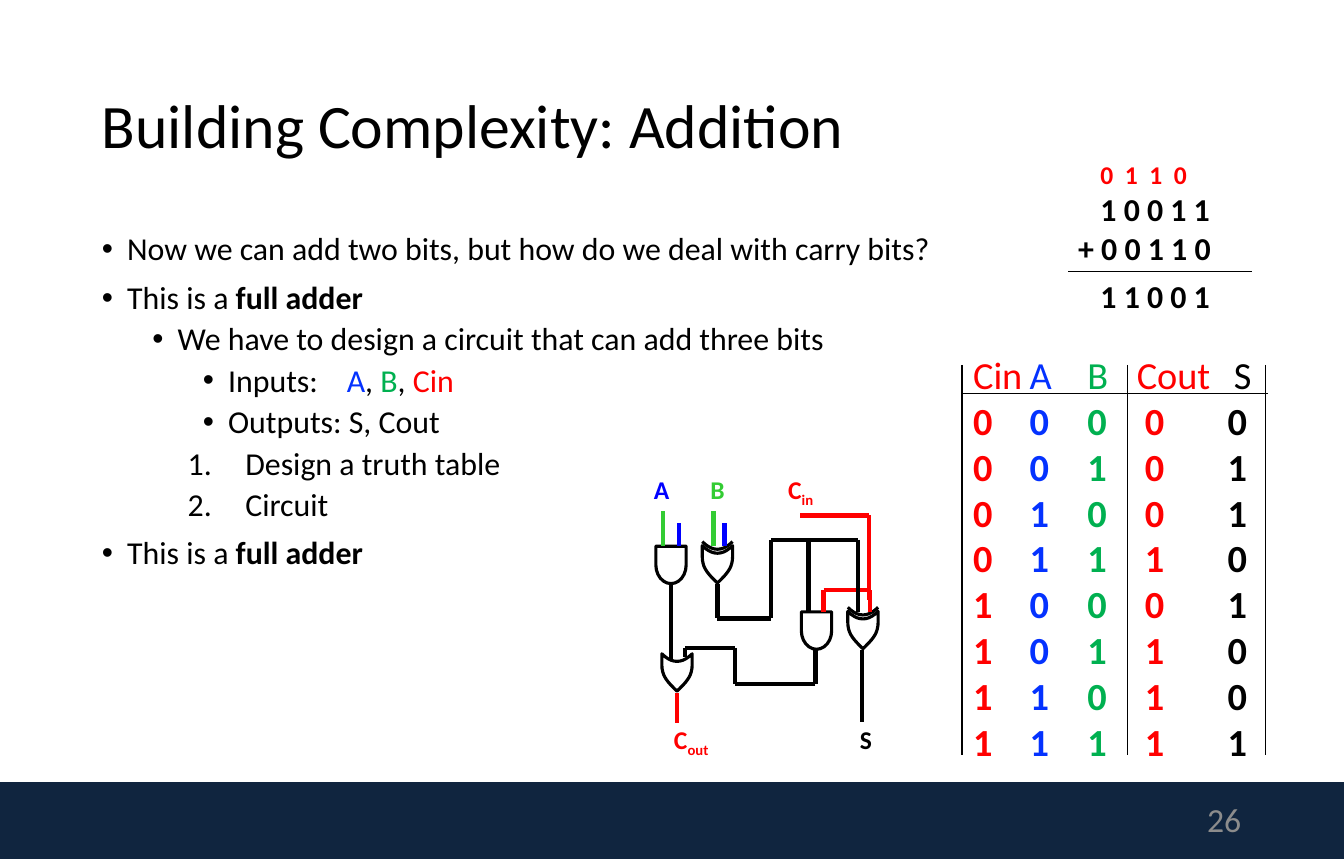
from itertools import pairwise, product

from lxml import etree
from pptx import Presentation
from pptx.dml.color import RGBColor
from pptx.enum.shapes import MSO_CONNECTOR, MSO_SHAPE
from pptx.enum.text import MSO_ANCHOR, PP_ALIGN
from pptx.oxml.ns import qn
from pptx.util import Inches, Pt

STRAIGHT = MSO_CONNECTOR.STRAIGHT
RECTANGLE, DELAY = MSO_SHAPE.RECTANGLE, MSO_SHAPE.FLOWCHART_DELAY
TOP, MIDDLE = MSO_ANCHOR.TOP, MSO_ANCHOR.MIDDLE
LEFT, RIGHT = PP_ALIGN.LEFT, PP_ALIGN.RIGHT

BLACK = RGBColor(0x00, 0x00, 0x00)
RED = RGBColor(0xFF, 0x00, 0x00)
BLUE = RGBColor(0x04, 0x32, 0xFF)
GREEN = RGBColor(0x00, 0xB0, 0x50)
WIRE_BLUE = RGBColor(0x00, 0x00, 0xFF)
WIRE_GREEN = RGBColor(0x33, 0xCC, 0x33)
NAVY = RGBColor(0x10, 0x25, 0x3F)
GREY = RGBColor(0x8C, 0x8C, 0x8C)
WIDTH, HEIGHT = 13.3, 8.5
PLAIN_TABLE = "{2D5ABB26-0587-4C30-8999-92F81FD0307C}"


def add_run(paragraph, text, size, color=BLACK, bold=False, **attributes):
    run = paragraph.add_run()
    run.text = text
    run.font.name = "Calibri"
    run.font.size = Pt(size)
    run.font.bold = bold
    run.font.color.rgb = color
    for key, value in attributes.items():
        run.font._element.set(key, str(value))


def add_frame(slide, box, anchor=TOP, inset=(0.1, 0.05)):
    frame = slide.shapes.add_textbox(*map(Inches, box)).text_frame
    frame.word_wrap = True
    frame.vertical_anchor = anchor
    frame.margin_left = frame.margin_right = Inches(inset[0])
    frame.margin_top = frame.margin_bottom = Inches(inset[1])
    return frame


def add_label(slide, box, text, size, color, subscript="", **attributes):
    paragraph = add_frame(slide, box, inset=(0, 0)).paragraphs[0]
    paragraph.alignment = LEFT
    add_run(paragraph, text, size, color, True, **attributes)
    if subscript:
        add_run(paragraph, subscript, size, color, True, baseline=-25000)


def add_line(slide, start, end, color=BLACK, weight=0.75):
    line = slide.shapes.add_connector(STRAIGHT, *map(Inches, (*start, *end)))
    line.line.color.rgb = color
    line.line.width = Pt(weight)
    etree.SubElement(line._element.spPr, qn("a:effectLst"))


def footer(slide, box):
    left, top, width, height = box
    bar = slide.shapes.add_shape(RECTANGLE, *map(Inches, box))
    bar.shadow.inherit = False
    bar.fill.solid()
    bar.fill.fore_color.rgb = NAVY
    bar.line.fill.background()
    number_box = (left + width - 3.91, top + 0.14, 2.99, 0.45)
    paragraph = add_frame(slide, number_box, MIDDLE).paragraphs[0]
    paragraph.alignment = RIGHT
    add_run(paragraph, "26", 24, GREY)


def title(slide, box):
    paragraph = add_frame(slide, box, MIDDLE).paragraphs[0]
    paragraph.line_spacing = 0.9
    add_run(paragraph, "Building Complexity: Addition", 44)


def outline(slide, box):
    full_adder = [("This is a ",), ("full adder", BLACK, True)]
    inputs = [("Inputs:",), (" ", BLACK, False, 1540), ("A", BLUE), (", ",),
              ("B", GREEN), (", ",), ("Cin", RED)]
    items = [
        (0, False, [("Now we can add two bits, but how do we deal with carry bits?",)]),
        (0, False, full_adder),
        (1, False, [("We have to design a circuit that can add three bits",)]),
        (2, False, inputs),
        (2, False, [("Outputs: S, Cout",)]),
        (1, True, [("Design a truth table",)]),
        (1, True, [("Circuit",)]),
        (0, False, full_adder),
    ]
    frame = add_frame(slide, box)
    for index, (level, numbered, runs) in enumerate(items):
        paragraph = frame.add_paragraph() if index else frame.paragraphs[0]
        paragraph.level = level
        paragraph.line_spacing = 0.9
        paragraph.space_before = Pt(5 if level else 10)
        indent, hanging = (1.42, 0.57) if numbered else (0.25 + level * 0.5, 0.25)
        properties = paragraph._p.get_or_add_pPr()
        properties.set("marL", str(Inches(indent)))
        properties.set("indent", str(-Inches(hanging)))
        if numbered:
            etree.SubElement(properties, qn("a:buAutoNum"), type="arabicPeriod")
        else:
            etree.SubElement(properties, qn("a:buFont"), typeface="Arial")
            etree.SubElement(properties, qn("a:buChar"), char="•")
        for text, *style in runs:
            spacing = {"spc": style.pop()} if len(style) == 3 else {}
            add_run(paragraph, text, 22.7, *style, **spacing)


def binary_sum(slide, box):
    left, top, width, height = box
    digits = left + 0.32
    rule = top + height * 0.7
    add_label(slide, (digits, top, 1.4, 0.3), "0 1 1 0", 18.2, RED, spc=206)
    for x, y, text in ((digits, top + 0.31, "1 0 0 1 1"),
                       (left + 0.1, top + 0.69, "+ 0 0 1 1 0"),
                       (digits, rule + 0.05, "1 1 0 0 1")):
        add_label(slide, (x, y, 1.6, 0.38), text, 22.7, BLACK)
    add_line(slide, (left, rule), (left + width, rule))


def truth_table(slide, box):
    left, top, width, height = box
    columns = [("Cin", RED, 0.62, 0.11, 0.11), ("A", BLUE, 0.51, 0.05, 0.05),
               ("B", GREEN, 0.51, 0.11, 0.11), ("Cout", RED, 0.88, 0.09, 0.17),
               ("S", BLACK, 0.48, 0.17, 0.11)]
    rows = [[name for name, *_ in columns]]
    for bits in product((0, 1), repeat=3):
        rows.append([*bits, *divmod(sum(bits), 2)])
    shape = slide.shapes.add_table(len(rows), len(columns), *map(Inches, box))
    table = shape.table
    table.first_row = table.horz_banding = False
    next(shape._element.iter(qn("a:tableStyleId"))).text = PLAIN_TABLE
    for column, (_, _, column_width, _, _) in zip(table.columns, columns):
        column.width = Inches(column_width)
    for row, values in enumerate(rows):
        table.rows[row].height = Inches(height / len(rows))
        for index, (_, color, _, header_margin, digit_margin) in enumerate(columns):
            cell = table.cell(row, index)
            cell.fill.background()
            cell.vertical_anchor = MIDDLE
            cell.margin_left = Inches(digit_margin if row else header_margin)
            cell.margin_right = cell.margin_top = cell.margin_bottom = 0
            paragraph = cell.text_frame.paragraphs[0]
            paragraph.line_spacing = Pt(32)
            add_run(paragraph, str(values[index]), 27.3, color, row > 0)
    for x in (left, left + 1.64, left + width):
        add_line(slide, (x, top + 0.1), (x, top + 3.96))
    add_line(slide, (left, top + 0.38), (left + width + 0.03, top + 0.38))


def curve(start, first, second, end, steps=10):
    points = []
    for step in range(steps + 1):
        t = step / steps
        shares = ((1 - t) ** 3, 3 * t * (1 - t) ** 2, 3 * t * t * (1 - t), t ** 3)
        points.append(tuple(sum(s * p[axis] for s, p in zip(shares, (start, first, second, end)))
                            for axis in (0, 1)))
    return points


def gate_outline(slide, x, y, points):
    placed = [(Inches(x + dx), Inches(y + dy)) for dx, dy in points]
    builder = slide.shapes.build_freeform(*placed[0], scale=1.0)
    builder.add_line_segments(placed[1:], close=False)
    finish_gate(builder.convert_to_shape())


def finish_gate(gate):
    gate.shadow.inherit = False
    gate.fill.background()
    gate.line.color.rgb = BLACK
    gate.line.width = Pt(2.25)


def or_gate(slide, x, y, exclusive):
    back = curve((-0.15, 0), (-0.05, 0.1), (0.05, 0.1), (0.15, 0))
    side = curve((-0.15, 0.11), (-0.15, 0.23), (-0.08, 0.29), (0, 0.37))
    mirrored = [(-dx, dy) for dx, dy in reversed(side)]
    gate_outline(slide, x, y, back[::-1] + side + mirrored + [(0.15, 0)])
    if exclusive:
        gate_outline(slide, x, y - 0.04, back)


def and_gate(slide, x, y):
    gate = slide.shapes.add_shape(DELAY, *map(Inches, (x - 0.185, y - 0.15, 0.37, 0.3)))
    gate.rotation = 90
    finish_gate(gate)


def full_adder_circuit(slide, box):
    left, top, width, height = box
    for x, y in ((0.24, 0.99), (1.68, 1.64)):
        and_gate(slide, left + x, top + y)
    for x, y, exclusive in ((0.7, 0.8, True), (0.3, 1.87, False), (2.14, 1.45, True)):
        or_gate(slide, left + x, top + y, exclusive)
    wires = [
        (WIRE_BLUE, 3, [(0.32, 0.58), (0.32, 0.8)]),
        (WIRE_BLUE, 3, [(0.77, 0.58), (0.77, 0.8)]),
        (WIRE_GREEN, 3, [(0.66, 0.46), (0.66, 0.8)]),
        (WIRE_GREEN, 3, [(0.16, 0.46), (0.16, 0.8)]),
        (RED, 3, [(1.75, 1.46), (1.75, 1.24), (2.21, 1.24), (2.21, 1.46)]),
        (BLACK, 3, [(0.7, 1.18), (0.7, 1.52), (1.23, 1.52), (1.23, 0.74),
                    (2.09, 0.74), (2.09, 1.46)]),
        (BLACK, 3, [(1.6, 0.74), (1.6, 1.46)]),
        (BLACK, 3, [(0.24, 1.17), (0.24, 1.93)]),
        (BLACK, 3, [(2.13, 1.83), (2.13, 2.54)]),
        (RED, 3, [(1.52, 0.5), (2.2, 0.5), (2.2, 1.34)]),
        (BLACK, 3, [(1.67, 1.83), (1.67, 2.17), (0.87, 2.17), (0.87, 1.81),
                    (0.38, 1.81), (0.38, 1.9)]),
        (RED, 2.25, [(0.3, 2.26), (0.3, 2.55)]),
    ]
    for color, weight, corners in wires:
        for start, end in pairwise([(left + x, top + y) for x, y in corners]):
            add_line(slide, start, end, color, weight)
    inputs, outputs = top + 0.09, top + height - 0.31
    for x, y, text, color, subscript in (
            (0.07, inputs, "A", WIRE_BLUE, ""), (0.63, inputs, "B", WIRE_GREEN, ""),
            (1.4, inputs, "C", RED, "in"), (0.27, outputs, "C", RED, "out"),
            (2.11, outputs, "S", BLACK, "")):
        add_label(slide, (left + x, y, 0.5, 0.3), text, 18.2, color, subscript)


def main():
    presentation = Presentation()
    presentation.slide_width, presentation.slide_height = Inches(WIDTH), Inches(HEIGHT)
    slide = presentation.slides.add_slide(presentation.slide_layouts[6])
    footer(slide, (0, HEIGHT - 0.76, WIDTH, 0.76))
    title(slide, (0.91, 0.45, 11.47, 1.64))
    outline(slide, (0.91, 2.26, 11.47, 5.39))
    binary_sum(slide, (10.57, 1.57, 1.82, 1.6))
    truth_table(slide, (9.52, 3.51, 3, 4.08))
    full_adder_circuit(slide, (6.4, 4.6, 2.3, 2.87))
    presentation.save("out.pptx")


if __name__ == "__main__":
    main()
